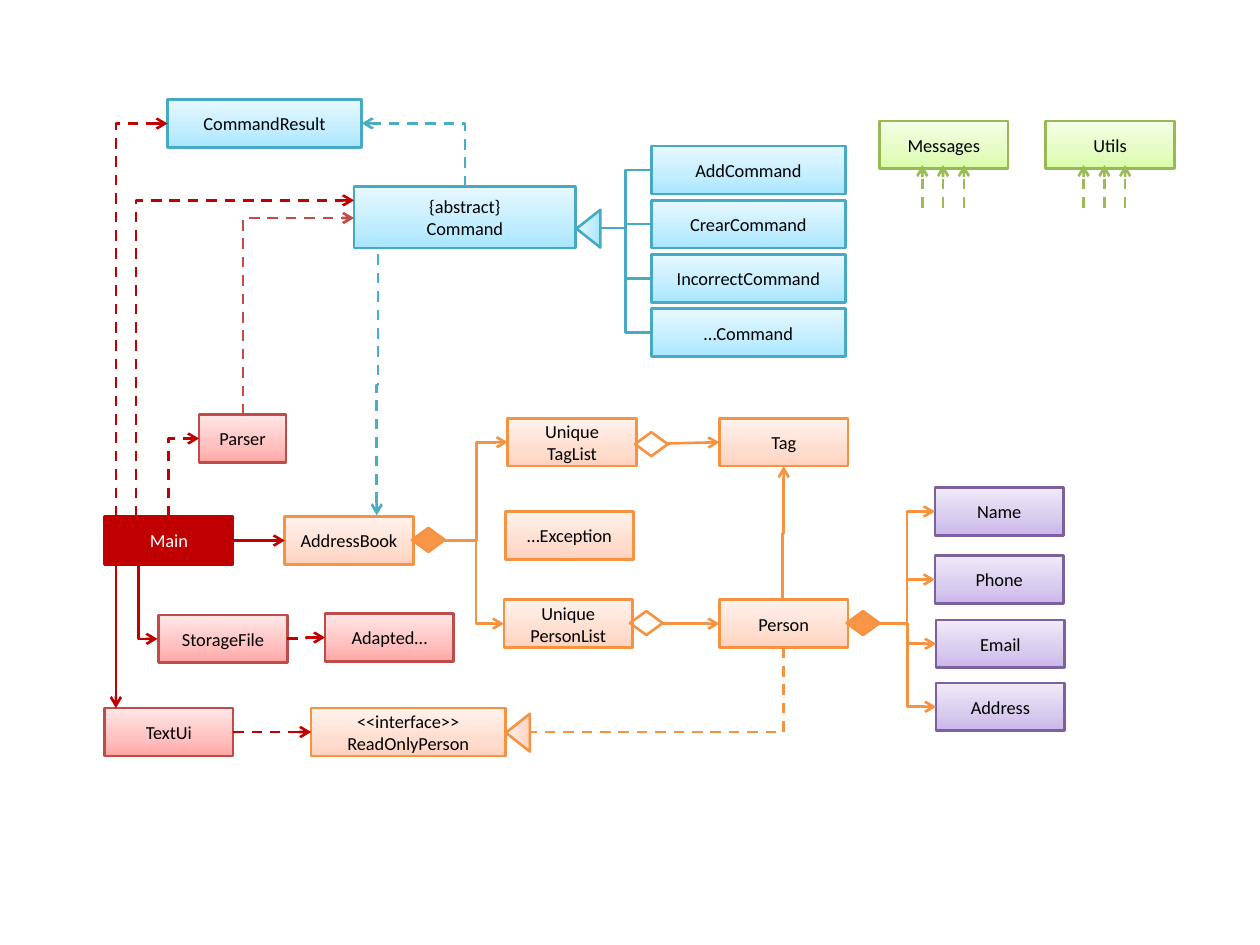
import copy
from dataclasses import dataclass
from typing import Optional

import pptx
import pptx.dml.color
import pptx.enum.dml
import pptx.enum.shapes
import pptx.enum.text
import pptx.oxml
import pptx.oxml.ns
import pptx.util

BLACK = pptx.dml.color.RGBColor(0x00, 0x00, 0x00)
WHITE = pptx.dml.color.RGBColor(0xFF, 0xFF, 0xFF)
DARK_RED = pptx.dml.color.RGBColor(0xC0, 0x00, 0x00)
RED = pptx.dml.color.RGBColor(0xBF, 0x4C, 0x48)
ORANGE = pptx.dml.color.RGBColor(0xF6, 0x92, 0x40)
ORANGE_FILL = pptx.dml.color.RGBColor(0xF7, 0x96, 0x46)
BLUE = pptx.dml.color.RGBColor(0x46, 0xAA, 0xC5)
BLUE_DASH = pptx.dml.color.RGBColor(0x4B, 0xAC, 0xC6)
PURPLE = pptx.dml.color.RGBColor(0x7D, 0x60, 0xA0)
GREEN = pptx.dml.color.RGBColor(0x98, 0xB9, 0x55)
GREEN_DASH = pptx.dml.color.RGBColor(0x9B, 0xBB, 0x59)

GRADIENTS = {
    RED: ("FFA6A5", "FFC0BF", "FFE7E7"),
    ORANGE: ("FFD2BD", "FFDED0", "FFF2ED"),
    BLUE: ("A7E6FF", "C1EDFF", "E7F8FF"),
    PURPLE: ("C9B5E8", "D8CBEE", "F0EAF9"),
    GREEN: ("DAFDA7", "E4FCC2", "F5FFE7"),
}
STOPS = (0, 0.35, 1)
LINE_WIDTH = pptx.util.Pt(1.5)
SHAPE = pptx.enum.shapes.MSO_SHAPE
qn = pptx.oxml.ns.qn


@dataclass
class Box:
    text: str
    x: float
    y: float
    color: pptx.dml.color.RGBColor
    w: float = 1.02
    h: float = 0.38


@dataclass
class Link:
    x1: float
    y1: float
    x2: float
    y2: float
    color: pptx.dml.color.RGBColor
    route: str = "line"
    dash: bool = False
    arrow: bool = True
    bend: float = 0.5


BOXES = [
    Box("TextUi", 0.83, 5.62, RED),
    Box("Main", 0.83, 4.1, DARK_RED),
    Box("AddressBook", 2.26, 4.1, ORANGE),
    Box("Parser", 1.58, 3.29, RED, w=0.69),
    Box("Unique\vTagList", 4.03, 3.32, ORANGE),
    Box("…Exception", 4.01, 4.06, ORANGE),
    Box("Unique\vPersonList", 4, 4.76, ORANGE),
    Box("Tag", 5.71, 3.32, ORANGE),
    Box("Person", 5.71, 4.76, ORANGE),
    Box("Name", 7.42, 3.87, PURPLE),
    Box("Phone", 7.42, 4.41, PURPLE),
    Box("Email", 7.43, 4.92, PURPLE),
    Box("Address", 7.43, 5.42, PURPLE),
    Box("StorageFile", 1.26, 4.88, RED),
    Box("Adapted…", 2.58, 4.87, RED),
    Box("<<interface>>\nReadOnlyPerson", 2.47, 5.62, ORANGE, w=1.54),
    Box("{abstract}\vCommand", 2.81, 1.48, BLUE, w=1.76, h=0.49),
    Box("CommandResult", 1.33, 0.79, BLUE, w=1.54),
    Box("Messages", 6.98, 0.96, GREEN),
    Box("Utils", 8.3, 0.96, GREEN),
]
COMMANDS = ("AddCommand", "CrearCommand", "IncorrectCommand", "…Command")
BOXES += [Box(name, 5.17, 1.16 + 0.43 * i, BLUE, w=1.54) for i, name in enumerate(COMMANDS)]

DIAMONDS = [(6.72, 4.85, ORANGE_FILL), (3.27, 4.19, ORANGE_FILL), (5.04, 3.43, None), (5, 4.85, None)]
TRIANGLES = [(3.96, 5.72, ORANGE), (4.52, 1.72, BLUE)]

LINKS = [
    Link(0.92, 4.48, 0.92, 5.62, DARK_RED),
    Link(1.34, 4.1, 1.58, 3.48, DARK_RED, "corner", dash=True),
    Link(1.1, 4.49, 1.25, 5.07, DARK_RED, "corner"),
    Link(1.85, 4.29, 2.26, 4.29, DARK_RED),
    Link(1.85, 5.81, 2.47, 5.81, DARK_RED, dash=True),
    Link(2.28, 5.07, 2.58, 5.06, DARK_RED, "across", dash=True),
    Link(1.08, 4.1, 2.81, 1.59, DARK_RED, "corner", dash=True),
    Link(0.92, 4.1, 1.33, 0.98, DARK_RED, "corner", dash=True),
    Link(1.93, 3.29, 2.81, 1.73, RED, "corner", dash=True),
    Link(3.53, 4.29, 4.03, 3.51, ORANGE, "across"),
    Link(3.53, 4.29, 4, 4.95, ORANGE, "across", bend=0.53),
    Link(6.21, 4.77, 6.22, 3.7, ORANGE, "upright"),
    Link(5.3, 3.52, 5.71, 3.51, ORANGE),
    Link(5.26, 4.95, 5.71, 4.95, ORANGE),
    Link(6.22, 5.14, 4.2, 5.81, ORANGE, "corner", dash=True, arrow=False),
    Link(3, 2.02, 2.99, 4.09, BLUE_DASH, "upright", dash=True),
    Link(3.69, 1.48, 2.87, 0.98, BLUE_DASH, "corner", dash=True),
]
LINKS += [Link(6.98, 4.95, b.x, b.y + b.h / 2, ORANGE, "across") for b in BOXES if b.color == PURPLE]
LINKS += [Link(4.76, 1.81, b.x, b.y + b.h / 2, BLUE, "across", arrow=False)
          for b in BOXES if b.text in COMMANDS]
LINKS += [Link(x + 0.165 * i, 1.65, x + 0.165 * i, 1.31, GREEN_DASH, dash=True)
          for x in (7.32, 8.6) for i in range(3)]


def add_shape(s, kind: int, x: float, y: float, w: float, h: float,
              line: pptx.dml.color.RGBColor, fill: Optional[pptx.dml.color.RGBColor]):
    sp = s.shapes.add_shape(kind, *map(pptx.util.Inches, (x, y, w, h)))
    sp.shadow.inherit = False
    sp.line.color.rgb = line
    sp.line.width = LINE_WIDTH
    if fill is None:
        sp.fill.background()
    elif fill in GRADIENTS:
        sp.fill.gradient()
        sp.fill.gradient_angle = 90
        stops = next(sp._element.spPr.iter(qn("a:gsLst")))
        stops.append(copy.deepcopy(stops[0]))
        for stop, position, color in zip(sp.fill.gradient_stops, STOPS, GRADIENTS[fill]):
            stop.position = position
            stop.color.rgb = pptx.dml.color.RGBColor.from_string(color)
    else:
        sp.fill.solid()
        sp.fill.fore_color.rgb = fill
    return sp


def add_box(s, b: Box) -> None:
    sp = add_shape(s, SHAPE.RECTANGLE, b.x, b.y, b.w, b.h, b.color, b.color)
    tf = sp.text_frame
    tf.text = b.text
    tf.word_wrap = True
    tf.vertical_anchor = pptx.enum.text.MSO_ANCHOR.MIDDLE
    for p in tf.paragraphs:
        p.alignment = pptx.enum.text.PP_ALIGN.CENTER
        p.font.name = "Calibri"
        p.font.size = pptx.util.Pt(10.5)
        p.font.color.rgb = WHITE if b.color == DARK_RED else BLACK


def add_link(s, k: Link) -> None:
    x1, y1, x2, y2, turn = k.x1, k.y1, k.x2, k.y2, 0
    if k.route in ("corner", "upright"):
        turn = 90 if y2 > y1 else 270
        half_w = abs(y2 - y1) / 2
        half_h = (x1 - x2 if turn == 90 else x2 - x1) / 2
        cx, cy = (x1 + x2) / 2, (y1 + y2) / 2
        x1, y1, x2, y2 = cx - half_w, cy - half_h, cx + half_w, cy + half_h
    kinds = pptx.enum.shapes.MSO_CONNECTOR
    kind = kinds.STRAIGHT if k.route == "line" else kinds.ELBOW
    c = s.shapes.add_connector(kind, *map(pptx.util.Inches, (x1, y1, x2, y2)))
    c.rotation = turn
    c.line.color.rgb = k.color
    c.line.width = LINE_WIDTH
    if k.dash:
        c.line.dash_style = pptx.enum.dml.MSO_LINE.DASH
    props = c._element.spPr
    geom = props.find(qn("a:prstGeom"))
    if k.route == "corner":
        geom.set("prst", "bentConnector2")
    elif k.bend != 0.5:
        guide = geom.find(qn("a:avLst")).makeelement(
            qn("a:gd"), {"name": "adj1", "fmla": f"val {round(k.bend * 100000)}"})
        geom.find(qn("a:avLst")).append(guide)
    if k.arrow:
        c.line._get_or_add_ln().append(props.makeelement(qn("a:tailEnd"), {"type": "arrow"}))
    props.append(props.makeelement(qn("a:effectLst"), {}))


def main() -> None:
    prs = pptx.Presentation()
    prs.slide_width, prs.slide_height = pptx.util.Inches(10), pptx.util.Inches(7.5)
    s = prs.slides.add_slide(prs.slide_layouts[6])
    for b in BOXES:
        add_box(s, b)
    for x, y, fill in DIAMONDS:
        add_shape(s, SHAPE.FLOWCHART_DECISION, x, y, 0.26, 0.19, ORANGE, fill)
    for x, y, color in TRIANGLES:
        add_shape(s, SHAPE.ISOSCELES_TRIANGLE, x, y, 0.3, 0.19, color, color).rotation = 270
    for k in LINKS:
        add_link(s, k)
    prs.save("out.pptx")


if __name__ == "__main__":
    main()
